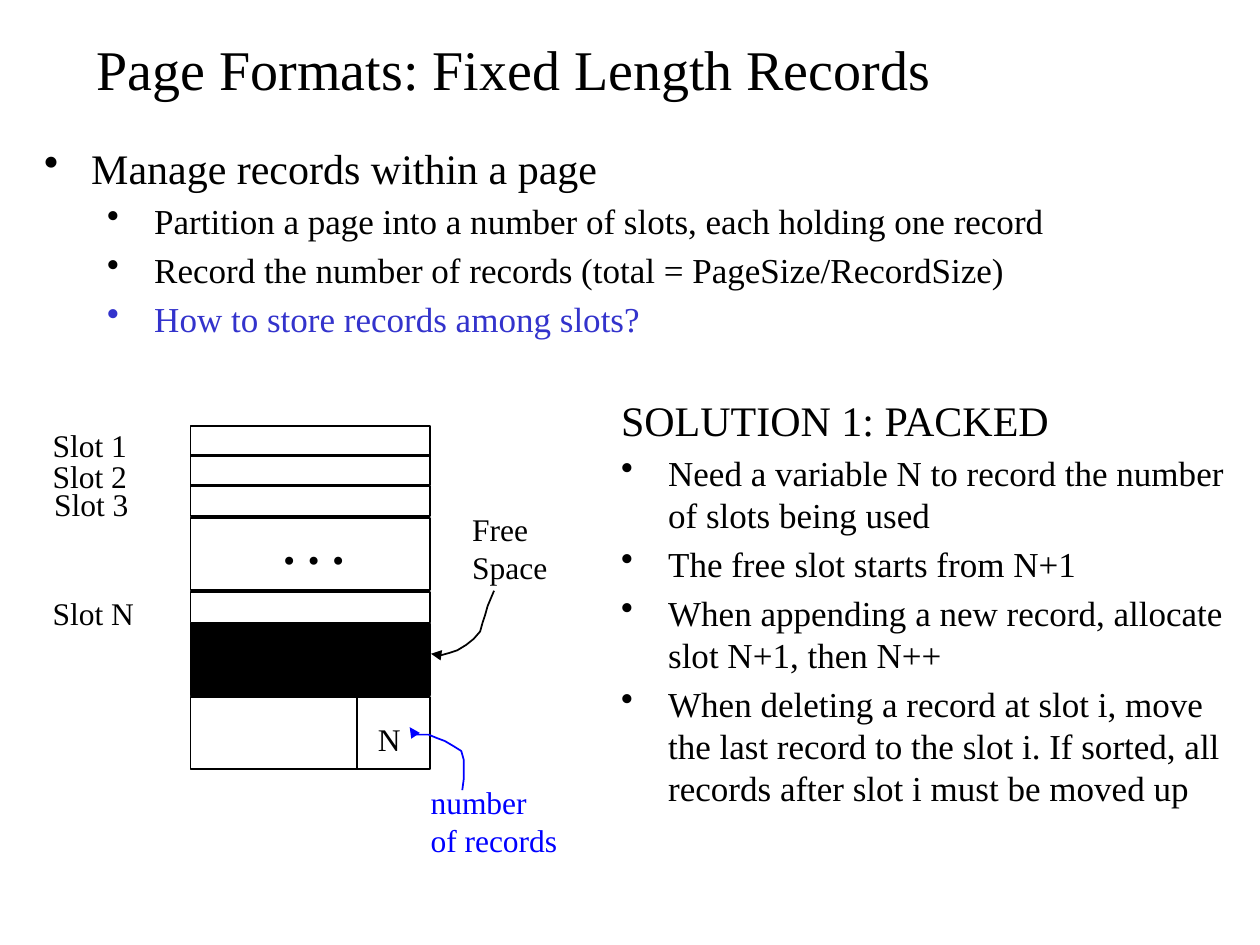
from dataclasses import dataclass

from lxml import etree
from pptx import Presentation
from pptx.dml.color import RGBColor
from pptx.enum.shapes import MSO_CONNECTOR, MSO_SHAPE
from pptx.enum.text import MSO_ANCHOR, MSO_AUTO_SIZE
from pptx.oxml.ns import qn
from pptx.util import Cm, Pt

RECTANGLE = MSO_SHAPE.RECTANGLE
STRAIGHT = MSO_CONNECTOR.STRAIGHT
MIDDLE = MSO_ANCHOR.MIDDLE
GROW = MSO_AUTO_SIZE.SHAPE_TO_FIT_TEXT
NO_AUTOFIT = MSO_AUTO_SIZE.NONE


@dataclass(frozen=True)
class Theme:
    font: str = "Times New Roman"
    ink: RGBColor = RGBColor(0, 0, 0)
    question: RGBColor = RGBColor(0x33, 0x33, 0xCC)
    counter: RGBColor = RGBColor(0, 0, 0xFF)
    title_size: int = 32
    dots_size: int = 28
    heading_size: int = 24
    body_size: int = 20
    label_size: int = 18
    line_width: int = 1


THEME = Theme()

PAGE_LEFT, PAGE_WIDTH = 3.84, 4.83
SLOT_HEIGHT, BLOCK_HEIGHT = 0.61, 1.45
# top, height, filled
PAGE_PARTS = [
    (8.59, SLOT_HEIGHT, False),
    (9.17, SLOT_HEIGHT, False),
    (9.8, SLOT_HEIGHT, False),
    (10.44, BLOCK_HEIGHT, False),
    (11.94, SLOT_HEIGHT, False),
    (12.57, BLOCK_HEIGHT, True),
    (14.05, BLOCK_HEIGHT, False),
]
# text, (left, top, width, height)
LABELS = [
    ("Slot 1", (0.81, 8.46, 2.03, 1.02)),
    ("Slot 2", (0.81, 9.09, 2.03, 1.02)),
    ("Slot 3", (0.84, 9.65, 2.03, 1.02)),
    ("Slot N", (0.81, 11.86, 2.16, 1.02)),
    ("N", (7.37, 14.4, 0.97, 1.02)),
    ("Free\nSpace", (9.27, 10.16, 2.03, 1.78)),
]
FREE_SPACE_ARROW = [
    (9.96, 11.91), (9.83, 12.22), (9.78, 12.4), (9.73, 12.55),
    (9.68, 12.73), (9.55, 12.88), (9.4, 13), (9.22, 13.11),
    (9.07, 13.16), (8.89, 13.21), (8.74, 13.21), (8.69, 13.18),
]
COUNTER_ARROW = [
    (9.32, 15.93), (9.35, 15.7), (9.35, 15.54), (9.35, 15.32),
    (9.3, 15.14), (9.14, 15.04), (8.97, 14.94), (8.81, 14.88),
    (8.64, 14.81), (8.48, 14.81), (8.31, 14.81), (8.26, 14.66),
]
# text, size, level (None: no bullet), color
OVERVIEW = [
    ("Manage records within a page", THEME.heading_size, 0, THEME.ink),
    ("Partition a page into a number of slots, each holding one record",
     THEME.body_size, 1, THEME.ink),
    ("Record the number of records (total = PageSize/RecordSize)",
     THEME.body_size, 1, THEME.ink),
    ("How to store records among slots?", THEME.body_size, 1, THEME.question),
]
SOLUTION_POINTS = [
    "Need a variable N to record the number of slots being used",
    "The free slot starts from N+1",
    "When appending a new record, allocate slot N+1, then N++",
    "When deleting a record at slot i, move the last record to the slot i. "
    "If sorted, all records after slot i must be moved up",
]
SOLUTION = [("SOLUTION 1: PACKED", THEME.heading_size, None, THEME.ink)] + [
    (point, THEME.body_size, 0, THEME.ink) for point in SOLUTION_POINTS
]


def style_runs(paragraph, size, color, bold=False):
    for run in paragraph.runs:
        run.font.name = THEME.font
        run.font.size = Pt(size)
        run.font.bold = bold
        run.font.color.rgb = color


def style_line(line, color):
    line.color.rgb = color
    line.width = Pt(THEME.line_width)


def add_text(slide, text, box, size, color=THEME.ink, wrap=False, bold=False):
    shape = slide.shapes.add_textbox(*map(Cm, box))
    frame = shape.text_frame
    frame.word_wrap = wrap
    frame.auto_size = NO_AUTOFIT if wrap else GROW
    frame.text = text
    for paragraph in frame.paragraphs:
        style_runs(paragraph, size, color, bold)
    return shape


def add_bullet(paragraph, level):
    paragraph.level = level
    properties = paragraph._p.get_or_add_pPr()
    properties.set("marL", str(Cm(0.95 + 1.27 * level)))
    properties.set("indent", str(-Cm(0.95)))
    etree.SubElement(properties, qn("a:buChar")).set("char", "•")


def add_outline(slide, items, box):
    """Add a text box of (text, size, level, color) paragraphs."""
    frame = slide.shapes.add_textbox(*map(Cm, box)).text_frame
    frame.word_wrap = True
    frame.text = "\n".join(item[0] for item in items)
    for paragraph, (_, size, level, color) in zip(frame.paragraphs, items):
        paragraph.space_before = Pt(size * 0.2)
        style_runs(paragraph, size, color)
        if level is not None:
            add_bullet(paragraph, level)


def add_page_part(slide, top, height, filled):
    shape = slide.shapes.add_shape(
        RECTANGLE, Cm(PAGE_LEFT), Cm(top), Cm(PAGE_WIDTH), Cm(height))
    shape.shadow.inherit = False
    if filled:
        shape.fill.solid()
        shape.fill.fore_color.rgb = THEME.ink
    else:
        shape.fill.background()
    style_line(shape.line, THEME.ink)


def add_divider(slide, x, top, bottom):
    connector = slide.shapes.add_connector(
        STRAIGHT, Cm(x), Cm(top), Cm(x), Cm(bottom))
    style_line(connector.line, THEME.ink)
    etree.SubElement(connector._element.spPr, qn("a:effectLst"))


def add_curved_arrow(slide, points, color):
    start, *rest = [(Cm(x), Cm(y)) for x, y in points]
    builder = slide.shapes.build_freeform(*start)
    builder.add_line_segments(rest, close=False)
    shape = builder.convert_to_shape()
    shape.shadow.inherit = False
    shape.fill.background()
    style_line(shape.line, color)
    line = shape.line._get_or_add_ln()
    etree.SubElement(line, qn("a:tailEnd")).set("type", "triangle")


def main():
    presentation = Presentation()
    presentation.slide_width = Cm(25.4)
    presentation.slide_height = Cm(19.05)
    slide = presentation.slides.add_slide(presentation.slide_layouts[6])

    title = add_text(slide, "Page Formats: Fixed Length Records",
                     (1.7, 0.43, 23.29, 1.9), THEME.title_size, wrap=True)
    title.text_frame.vertical_anchor = MIDDLE

    for part in PAGE_PARTS:
        add_page_part(slide, *part)
    add_divider(slide, 7.19, 14.02, 15.52)
    for text, box in LABELS:
        add_text(slide, text, box, THEME.label_size)
    add_text(slide, ". . .", (5.46, 10.26, 1.75, 1.45), THEME.dots_size, bold=True)
    add_curved_arrow(slide, FREE_SPACE_ARROW, THEME.ink)
    add_text(slide, "number\nof records", (8.43, 15.67, 3.1, 1.78),
             THEME.label_size, THEME.counter)
    add_curved_arrow(slide, COUNTER_ARROW, THEME.counter)

    add_outline(slide, SOLUTION, (12.27, 7.82, 12.7, 9.73))
    add_outline(slide, OVERVIEW, (0.64, 2.74, 24.77, 4.37))
    presentation.save("out.pptx")


if __name__ == "__main__":
    main()
